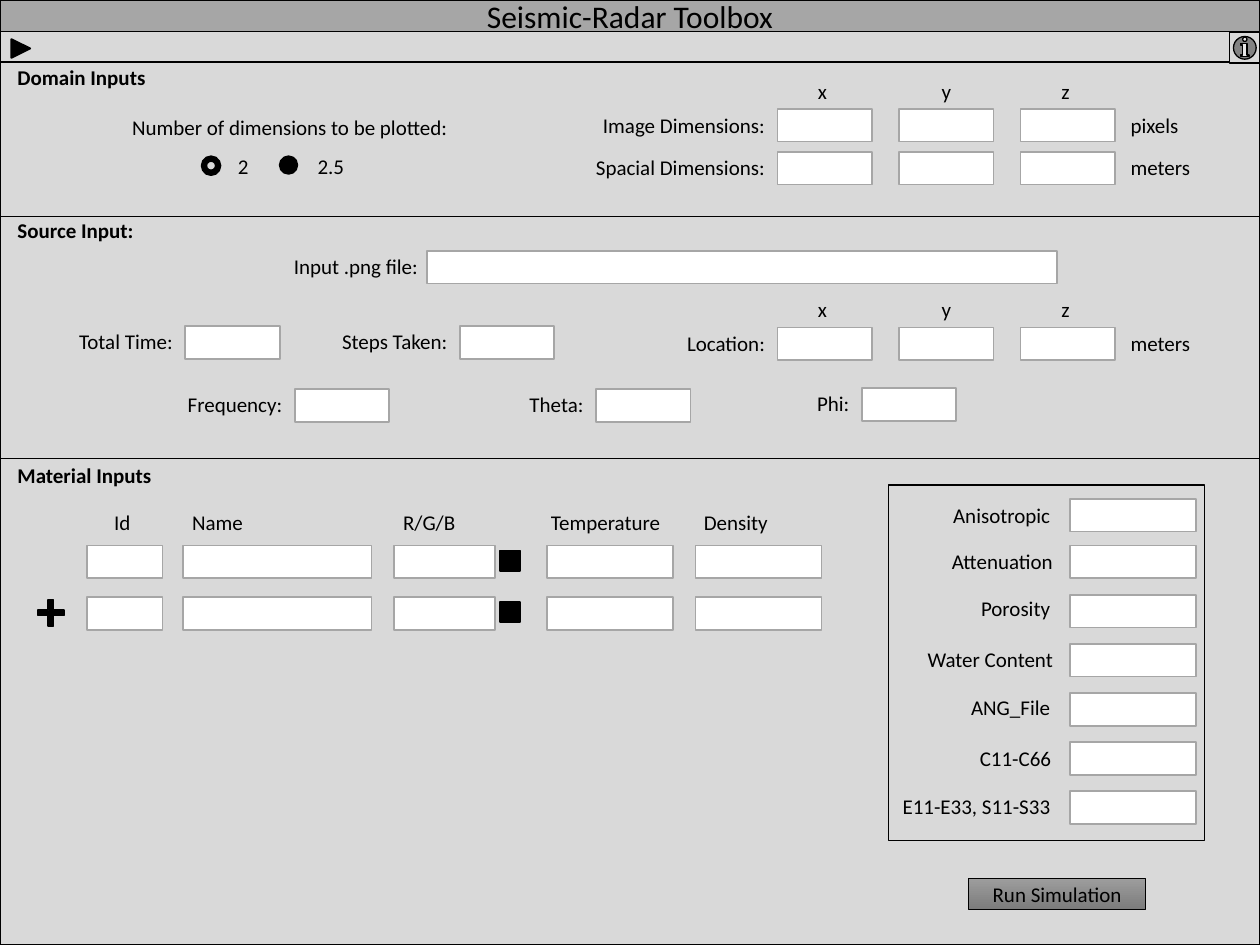
from pptx import Presentation
from pptx.dml.color import RGBColor
from pptx.enum.shapes import MSO_SHAPE
from pptx.enum.text import MSO_ANCHOR, MSO_AUTO_SIZE, PP_ALIGN
from pptx.util import Inches, Pt

COLORS = {"ink": "000000", "panel": "D9D9D9", "edge": "A6A6A6", "field": "FFFFFF",
          "button_top": "9D9D9D", "button_bottom": "7C7C7C"}
LEFT, CENTER, RIGHT = PP_ALIGN.LEFT, PP_ALIGN.CENTER, PP_ALIGN.RIGHT
COLUMNS, ROWS = 100, 75


class Form:
    """Holds the form's style and slide, with positions in grid columns and rows."""

    def __init__(self, prs, font="Calibri", size=12):
        self.font, self.size = font, size
        self.col, self.row = prs.slide_width / COLUMNS, prs.slide_height / ROWS
        self.s = prs.slides.add_slide(prs.slide_layouts[5])

    def box(self, x, y, w, h):
        return (round(x * self.col), round(y * self.row),
                round(w * self.col), round(h * self.row))

    def color(self, name):
        return RGBColor.from_string(COLORS[name])

    def paint(self, sp, fill, line, width):
        if fill:
            sp.fill.solid()
            sp.fill.fore_color.rgb = self.color(fill)
        else:
            sp.fill.background()
        sp.line.color.rgb = self.color(line)
        sp.line.width = Pt(width)

    def set_text(self, sp, text, align, bold=False, size=None):
        tf = sp.text_frame
        tf.text = text
        tf.word_wrap = True
        tf.vertical_anchor = MSO_ANCHOR.MIDDLE
        p = tf.paragraphs[0]
        p.alignment = align
        p.font.name, p.font.size, p.font.bold = self.font, Pt(size or self.size), bold
        p.font.color.rgb = self.color("ink")

    def title(self, text, x, y, w, h):
        sp = self.s.shapes.title
        sp.left, sp.top, sp.width, sp.height = self.box(x, y, w, h)
        self.paint(sp, "edge", "ink", 1)
        self.set_text(sp, text, CENTER, size=18)
        sp.text_frame.auto_size = MSO_AUTO_SIZE.NONE

    def shape(self, x, y, w, h, fill, line="ink", width=1, kind=MSO_SHAPE.RECTANGLE):
        sp = self.s.shapes.add_shape(kind, *self.box(x, y, w, h))
        sp.shadow.inherit = False
        self.paint(sp, fill, line, width)
        return sp

    def panel(self, x, y, w, h, fill="panel"):
        self.shape(x, y, w, h, fill, width=0.75)

    def field(self, x, y, w=7.5):
        self.shape(x, y, w, 2.6, "field", "edge")

    def label(self, text, x, y, w, h=2.6, align=RIGHT, bold=False):
        self.set_text(self.shape(x, y, w, h, "panel", "panel"), text, align, bold)

    def heading(self, text, y):
        self.label(text, 0.4, y, 13, 2, LEFT, True)

    def icon(self, kind, x, y, size):
        return self.shape(x, y, size, size, "ink", kind=kind)

    def axes(self, y):
        for i, name in enumerate(("x ", "y", "z ")):
            self.label(name, 61.7 + 9.65 * i, y, 7.5, align=CENTER)

    def vector(self, text, unit, y, w):
        self.label(text, 61.7 - w, y - 0.05, w)
        for i in range(3):
            self.field(61.7 + 9.65 * i, y)
        self.label(unit, 88.75, y - 0.05, 9, align=LEFT)

    def entry(self, text, x, y, w):
        self.label(text, x - w, y - 0.1, w)
        self.field(x, y)

    def button(self, text, x, y, w, h):
        sp = self.shape(x, y, w, h, "panel", width=0.5)
        sp.fill.gradient()
        sp.fill.gradient_angle = 270
        for stop, name in zip(sp.fill.gradient_stops, ("button_top", "button_bottom")):
            stop.color.rgb = self.color(name)
        self.set_text(sp, text, CENTER)


def domain_inputs(form):
    form.heading("Domain Inputs", 5.1)
    form.axes(5.9)
    form.vector("Image Dimensions:", "pixels", 8.65, 15)
    form.vector("Spacial Dimensions:", "meters", 12.05, 16.3)
    form.label("Number of dimensions to be plotted:", 7, 8.6, 29.5, 2.9)
    form.label("2", 17.9, 11.9, 2.6)
    form.label("2.5", 23.9, 11.9, 4.4)
    form.icon(MSO_SHAPE.DONUT, 16, 12.4, 1.5)
    form.icon(MSO_SHAPE.OVAL, 22.2, 12.4, 1.4)


def source_input(form):
    form.heading("Source Input:", 17.3)
    form.label("Input .png file:", 21.5, 19.8, 13.5, align=CENTER)
    form.field(33.9, 19.9, 50)
    form.axes(23.2)
    form.vector("Location:", "meters", 26, 9)
    for text, x, y, w in (("Total Time:", 14.7, 25.9, 10), ("Steps Taken:", 36.5, 25.9, 11),
                          ("Frequency:", 23.4, 30.9, 10), ("Theta:", 47.3, 30.9, 8),
                          ("Phi:", 68.4, 30.8, 8)):
        form.entry(text, x, y, w)


def material_inputs(form):
    form.heading("Material Inputs", 36.7)
    for text, x, w in (("Id ", 7.4, 5), ("Name ", 13.7, 7.5), ("R/G/B ", 30.5, 7.5),
                       ("Temperature ", 42.4, 11.7), ("Density ", 54.8, 7.2)):
        form.label(text, x, 40.2, w, 2.5, CENTER)
    for y in (43.3, 47.4):
        for x, w in ((6.9, 6), (14.5, 15), (31.3, 8), (43.4, 10), (55.2, 10)):
            form.field(x, y, w)
        form.icon(MSO_SHAPE.RECTANGLE, 39.7, y + 0.4, 1.6)
    form.icon(MSO_SHAPE.CROSS, 3, 47.6, 2.1).adjustments[0] = 0.4


def material_properties(form):
    properties = (("Anisotropic ", 74.5, 39.6, 10), ("Attenuation ", 74.5, 43.3, 10.1),
                  ("Porosity ", 76.7, 47, 7.8), ("Water Content ", 72.6, 51.1, 12),
                  ("ANG_File ", 75.9, 54.9, 9), ("C11-C66 ", 76.6, 58.9, 8),
                  ("E11-E33, S11-S33 ", 70.5, 62.7, 14))
    for i, (text, x, y, w) in enumerate(properties):
        form.label(text, x, y, w, 2.5, CENTER)
        form.field(84.9, 43.3 + 3.9 * (i - 1) if i else 39.6, 10)
    form.panel(70.5, 38.5, 25.1, 28.2, None)


def main():
    prs = Presentation()
    prs.slide_width, prs.slide_height = Inches(10), Inches(7.5)
    form = Form(prs)
    form.title("Seismic-Radar Toolbox", 0, 0, 100, 2.6)
    for y, h in ((2.9, 14.5), (36.4, 38.6), (17.2, 19.2)):
        form.panel(0, y, 100, h)
    form.shape(0, 2.5, 100, 2.4, "panel")
    form.shape(97.6, 2.6, 2.4, 2.4, "panel", width=0.75,
               kind=MSO_SHAPE.ACTION_BUTTON_INFORMATION)
    form.icon(MSO_SHAPE.ISOSCELES_TRIANGLE, 0.9, 3.1, 1.5).rotation = 90
    domain_inputs(form)
    source_input(form)
    material_inputs(form)
    material_properties(form)
    form.button("Run Simulation", 76.9, 69.7, 14, 2.5)
    prs.save("out.pptx")


if __name__ == "__main__":
    main()
